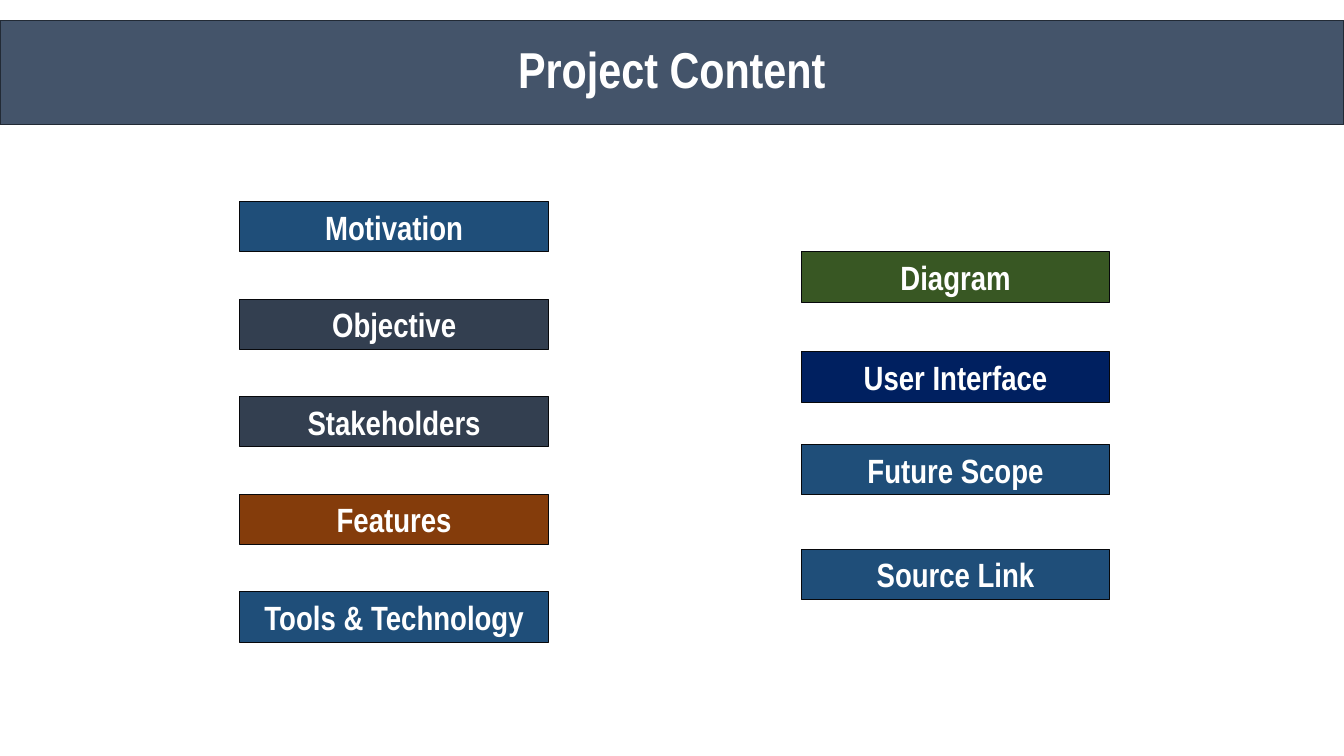
from pptx import Presentation
from pptx.dml.color import RGBColor
from pptx.enum.shapes import MSO_SHAPE
from pptx.enum.text import MSO_ANCHOR, MSO_AUTO_SIZE, PP_ALIGN
from pptx.util import Inches, Pt

RECTANGLE = MSO_SHAPE.RECTANGLE
TOP, MIDDLE = MSO_ANCHOR.TOP, MSO_ANCHOR.MIDDLE
FIXED, GROW = MSO_AUTO_SIZE.NONE, MSO_AUTO_SIZE.SHAPE_TO_FIT_TEXT
CENTER = PP_ALIGN.CENTER
TITLE_ONLY = 5

# The grid has 40 columns and 15 rows
COLUMNS, ROWS = 40, 15
TOPIC_WIDTH, TOPIC_HEIGHT = 9.18, 1
LEFT_COLUMN, RIGHT_COLUMN = 7.14, 23.85
LEFT_START, LEFT_END = 4, 11.74

BLUE, SLATE = "1F4E79", "333F50"
LEFT_TOPICS = [
    ("Motivation", BLUE),
    ("Objective", SLATE),
    ("Stakeholders", SLATE),
    ("Features", "843C0B"),
    ("Tools & Technology", BLUE),
]
# The right-hand topics are unevenly spaced, so each has its own row
RIGHT_TOPICS = [
    ("Diagram", "385723", 5),
    ("User Interface", "002060", 6.98),
    ("Future Scope", BLUE, 8.82),
    ("Source Link", BLUE, 10.9),
]


def color(hex_value):
    return RGBColor.from_string(hex_value)


class ContentSlide:
    font_name = "Arial Narrow"
    text_color = "FFFFFF"
    line_width = Pt(0.75)

    def __init__(self, deck):
        self.slide = deck.slides.add_slide(deck.slide_layouts[TITLE_ONLY])
        self.column = deck.slide_width / COLUMNS
        self.row = deck.slide_height / ROWS

    def paint(self, box, fill, line):
        box.fill.solid()
        box.fill.fore_color.rgb = color(fill)
        box.line.color.rgb = color(line)
        box.line.width = self.line_width

    def set_label(self, box, text, size, anchor, auto_size):
        frame = box.text_frame
        frame.text = text
        frame.word_wrap = True
        frame.vertical_anchor = anchor
        frame.auto_size = auto_size
        paragraph = frame.paragraphs[0]
        paragraph.alignment = CENTER
        font = paragraph.font
        font.name, font.size, font.bold = self.font_name, Pt(size), True
        font.color.rgb = color(self.text_color)
        return paragraph

    def title(self, text, row, height):
        banner = self.slide.shapes.title
        banner.left, banner.top = 0, round(row * self.row)
        banner.width = round(COLUMNS * self.column)
        banner.height = round(height * self.row)
        self.paint(banner, "44546A", "222A35")
        self.set_label(banner, text, 36, MIDDLE, FIXED).line_spacing = 0.9

    def topic(self, text, fill, column, row):
        box = self.slide.shapes.add_shape(
            RECTANGLE, round(column * self.column), round(row * self.row),
            round(TOPIC_WIDTH * self.column), round(TOPIC_HEIGHT * self.row))
        box.shadow.inherit = False
        self.paint(box, fill, "07080B")
        self.set_label(box, text, 24, TOP, GROW)


def main():
    deck = Presentation()
    deck.slide_width, deck.slide_height = Inches(13.33), Inches(7.5)
    content = ContentSlide(deck)

    # Title banner
    content.title("Project Content", row=0.4, height=2.08)

    # Left topics, evenly spaced
    left_step = (LEFT_END - LEFT_START) / (len(LEFT_TOPICS) - 1)
    for index, (text, fill) in enumerate(LEFT_TOPICS):
        content.topic(text, fill, LEFT_COLUMN, LEFT_START + index * left_step)

    # Right topics
    for text, fill, row in RIGHT_TOPICS:
        content.topic(text, fill, RIGHT_COLUMN, row)

    deck.save("out.pptx")


if __name__ == "__main__":
    main()
